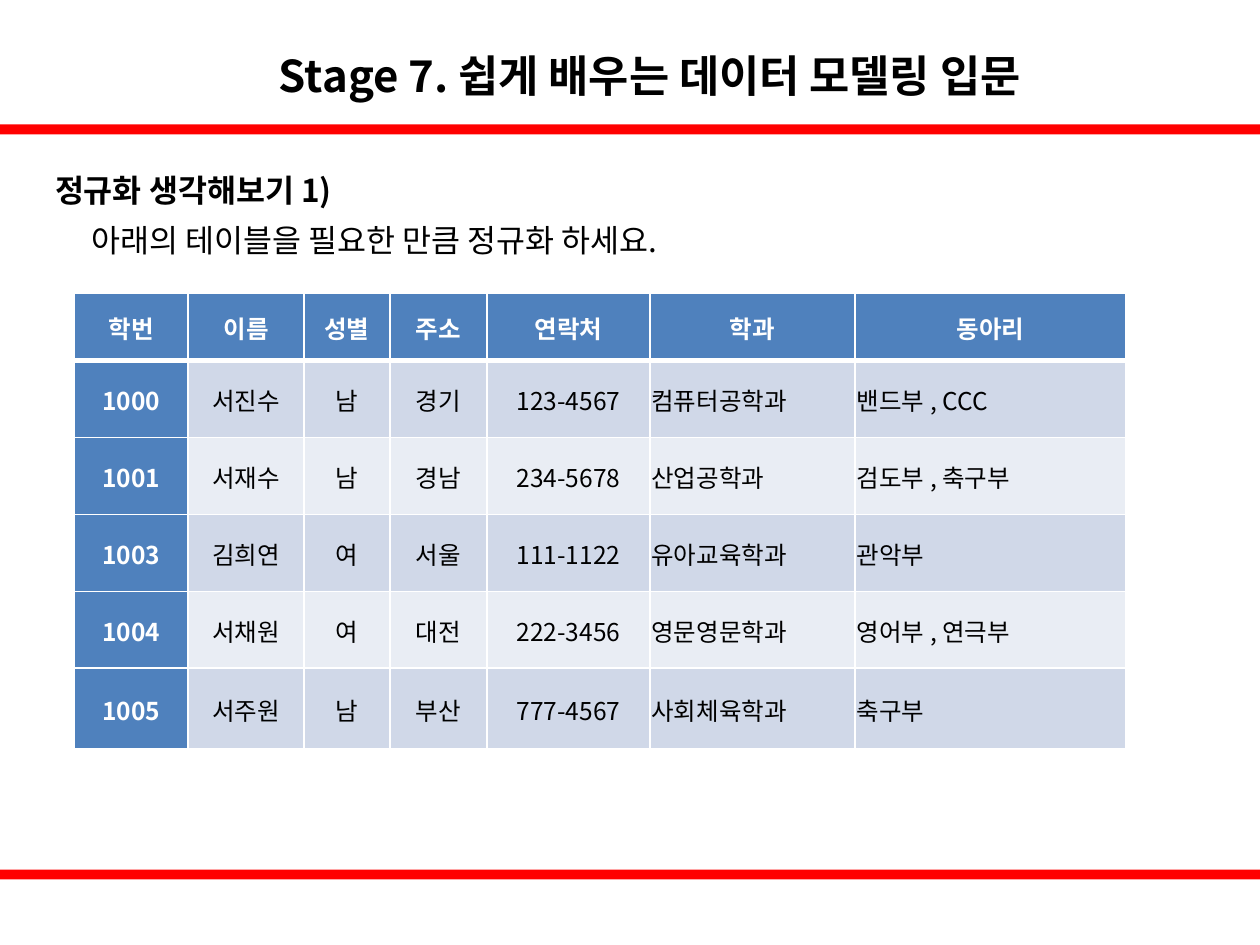
"""Build the data modelling slide with the normalization exercise table."""
from lxml.etree import SubElement
from pptx import Presentation
from pptx.dml.color import RGBColor
from pptx.enum.shapes import MSO_SHAPE
from pptx.enum.text import MSO_ANCHOR, MSO_AUTO_SIZE, PP_ALIGN as ALIGN
from pptx.oxml.ns import qn
from pptx.util import Cm, Pt

FONT = "Noto Sans CJK KR"
COLORS = {
    "bar": "FF0000",
    "text": "000000",
    "white": "FFFFFF",
    "header": "4F81BD",
    "odd": "D0D8E8",
    "even": "E9EDF4",
}


def write(frame, text, size, color="text", bold=False, align=ALIGN.LEFT):
    paragraph = frame.paragraphs[0]
    paragraph.alignment = align
    run = paragraph.add_run()
    run.text = text
    for name, value in {"size": Pt(size), "bold": bold, "name": FONT}.items():
        setattr(run.font, name, value)
    run.font.color.rgb = RGBColor.from_string(COLORS[color])
    SubElement(run._r.get_or_add_rPr(), qn("a:ea"), typeface=FONT)
    return paragraph


def add_border(cell, side, points):
    line = SubElement(cell._tc.get_or_add_tcPr(), qn(f"a:ln{side}"), w=str(Pt(points)))
    fill = SubElement(line, qn("a:solidFill"))
    SubElement(fill, qn("a:srgbClr"), val=COLORS["white"])


presentation = Presentation()
presentation.slide_width = Cm(25.4)
presentation.slide_height = Cm(19.05)
slide = presentation.slides.add_slide(presentation.slide_layouts[6])

for top in (2.51, 17.53):
    bar = slide.shapes.add_shape(MSO_SHAPE.RECTANGLE, 0, Cm(top), Cm(25.4), Cm(0.2))
    bar.shadow.inherit = False
    bar.fill.solid()
    bar.fill.fore_color.rgb = RGBColor.from_string(COLORS["bar"])
    bar.line.fill.background()

title = slide.shapes.add_textbox(Cm(3.5), 0, Cm(19.2), Cm(2.51))
title.text_frame.word_wrap = True
title.text_frame.vertical_anchor = MSO_ANCHOR.MIDDLE
heading = write(title.text_frame, "Stage 7. 쉽게 배우는 데이터 모델링 입문", 25, bold=True, align=ALIGN.CENTER)
heading.line_spacing = 1.5

exercise_lines = [
    ("정규화 생각해보기 1)", 0.86, 3.33, 6.7, True, False),
    ("아래의 테이블을 필요한 만큼 정규화 하세요.", 1.6, 4.34, 18.7, False, True),
]
for text, left, top, width, bold, wrap in exercise_lines:
    box = slide.shapes.add_textbox(Cm(left), Cm(top), Cm(width), Cm(1.02))
    box.text_frame.word_wrap = wrap
    box.text_frame.auto_size = MSO_AUTO_SIZE.SHAPE_TO_FIT_TEXT
    write(box.text_frame, text, 18, bold=bold)

students = [
    ("학번", "이름", "성별", "주소", "연락처", "학과", "동아리"),
    ("1000", "서진수", "남", "경기", "123-4567", "컴퓨터공학과", "밴드부 , CCC"),
    ("1001", "서재수", "남", "경남", "234-5678", "산업공학과", "검도부 , 축구부"),
    ("1003", "김희연", "여", "서울", "111-1122", "유아교육학과", "관악부"),
    ("1004", "서채원", "여", "대전", "222-3456", "영문영문학과", "영어부 , 연극부"),
    ("1005", "서주원", "남", "부산", "777-4567", "사회체육학과", "축구부"),
]
column_widths = [2.29, 2.34, 1.73, 1.96, 3.28, 4.14, 5.46]
row_heights = [1.35] + [1.55] * 4 + [1.63]
body_aligns = [ALIGN.CENTER] * 5 + [ALIGN.LEFT, ALIGN.JUSTIFY]
cell_format = {
    "margin_left": Cm(0.03),
    "margin_top": Cm(0.03),
    "margin_right": Cm(0.03),
    "margin_bottom": 0,
    "vertical_anchor": MSO_ANCHOR.MIDDLE,
}

table = slide.shapes.add_table(
    len(students), len(column_widths), Cm(1.5), Cm(5.92),
    Cm(sum(column_widths)), Cm(sum(row_heights)),
).table
for column, width in zip(table.columns, column_widths):
    column.width = Cm(width)
for row, height in zip(table.rows, row_heights):
    row.height = Cm(height)

for row_index, student in enumerate(students):
    for column_index, text in enumerate(student):
        cell = table.cell(row_index, column_index)
        for name, value in cell_format.items():
            setattr(cell, name, value)
        is_header = row_index == 0 or column_index == 0
        top_width = 3 if row_index == 1 else 1
        bottom_width = 3 if row_index == 0 else 1
        for side, points in zip("LRTB", (1, 1, top_width, bottom_width)):
            add_border(cell, side, points)
        fill_name = "header" if is_header else ("even", "odd")[row_index % 2]
        cell.fill.solid()
        cell.fill.fore_color.rgb = RGBColor.from_string(COLORS[fill_name])
        align = ALIGN.CENTER if row_index == 0 else body_aligns[column_index]
        write(cell.text_frame, text, 14, "white" if is_header else "text", is_header, align)

presentation.save("out.pptx")
